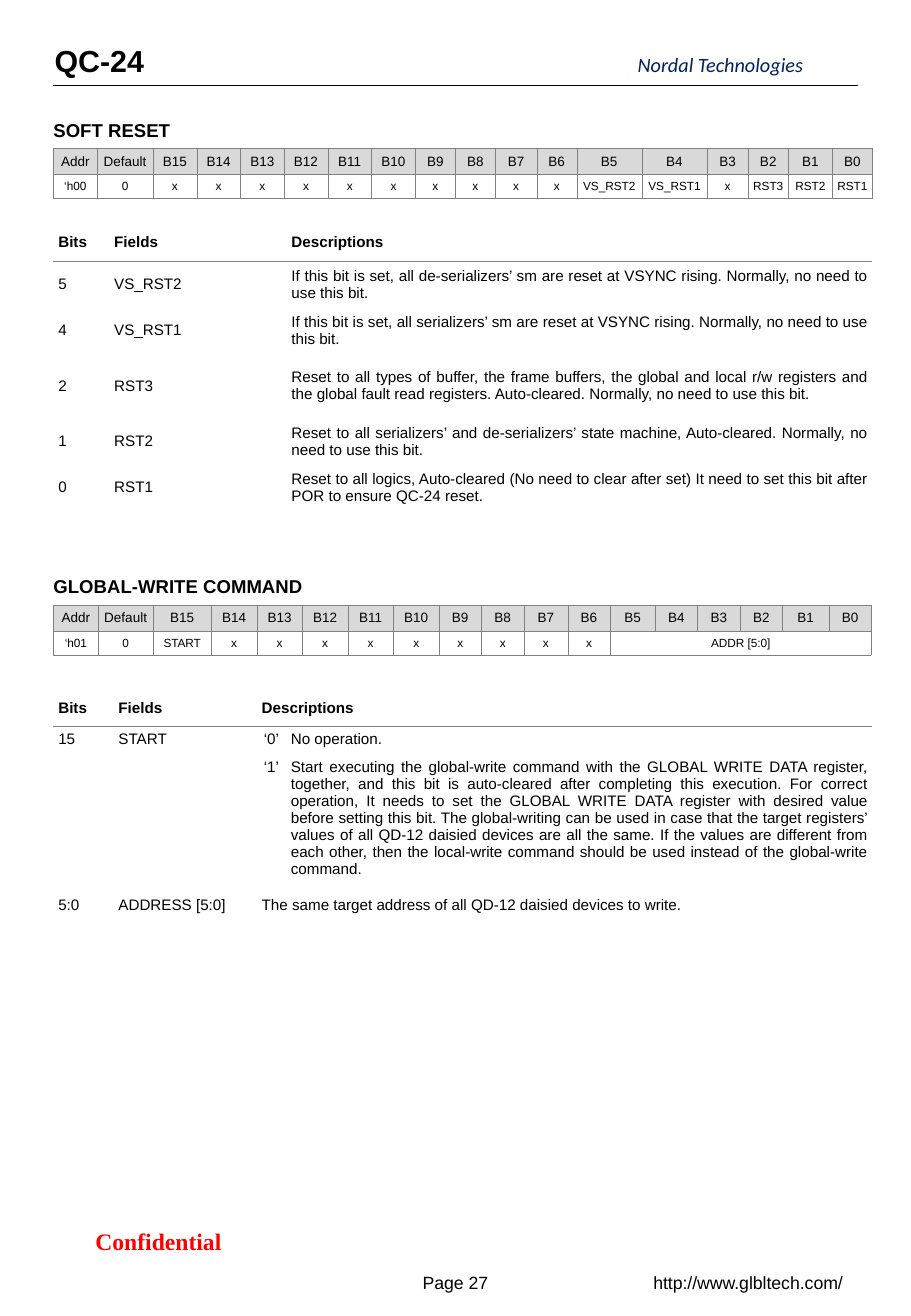
from lxml import etree
from pptx import Presentation, util as u
from pptx.dml.color import RGBColor
from pptx.enum import shapes, text
from pptx.oxml import ns

HUES = {"ink": "000000", "navy": "002060", "alert": "FF0000",
        "rule": "808080", "head": "D9D9D9"}
ALIGN = {"l": text.PP_ALIGN.LEFT, "c": text.PP_ALIGN.CENTER,
         "j": text.PP_ALIGN.JUSTIFY}
TOP, MID = text.MSO_ANCHOR.TOP, text.MSO_ANCHOR.MIDDLE
COLS, ROWS = 75, 108.3
LEFT = 4.4
PAD = 0.04


class Sheet:
    """Places elements on a slide by grid columns and rows."""

    def __init__(self, deck):
        self.slide = deck.slides.add_slide(deck.slide_layouts[6])
        self.col = deck.slide_width / COLS
        self.row = deck.slide_height / ROWS

    def x(self, n):
        return u.Emu(round(n * self.col))

    def y(self, n):
        return u.Emu(round(n * self.row))

    def box(self, x, y, w, h):
        return self.x(x), self.y(y), self.x(w), self.y(h)

    def run(self, para, words, size, bold=False, italic=False,
            hue="ink", face="Arial"):
        run = para.add_run()
        run.text = words
        font = run.font
        font.name, font.size = face, u.Pt(size)
        font.bold, font.italic = bold, italic
        font.color.rgb = RGBColor.from_string(HUES[hue])

    def label(self, at, words, size, **look):
        """Unwrapped text that starts at the left edge of its box."""
        frame = self.slide.shapes.add_textbox(*self.box(*at)).text_frame
        frame.word_wrap = False
        frame.auto_size = text.MSO_AUTO_SIZE.SHAPE_TO_FIT_TEXT
        frame.margin_left = frame.margin_right = 0
        self.run(frame.paragraphs[0], words, size, **look)

    def foot(self, at, words, size, **look):
        """Text centred both ways in its box."""
        frame = self.slide.shapes.add_textbox(*self.box(*at)).text_frame
        frame.word_wrap = True
        frame.vertical_anchor = MID
        frame.paragraphs[0].alignment = ALIGN["c"]
        self.run(frame.paragraphs[0], words, size, **look)

    def line(self, x1, x2, y):
        rule = self.slide.shapes.add_connector(
            shapes.MSO_CONNECTOR.STRAIGHT,
            self.x(x1), self.y(y), self.x(x2), self.y(y))
        rule.line.width = u.Pt(0.5)
        rule.line.color.rgb = RGBColor.from_string(HUES["ink"])
        props = rule.element.find(ns.qn("p:spPr"))
        etree.SubElement(props, ns.qn("a:effectLst"))

    def table(self, top, cols, rows):
        at = self.box(LEFT, top, sum(cols), sum(rows))
        grid = self.slide.shapes.add_table(len(rows), len(cols), *at).table
        grid.first_row = grid.horz_banding = False
        for part, n in zip(grid.columns, cols):
            part.width = self.x(n)
        for part, n in zip(grid.rows, rows):
            part.height = self.y(n)
        return grid

    def edge(self, cell, sides, width):
        """Rule the named sides of a cell and clear the others."""
        props = cell._tc.get_or_add_tcPr()
        for side in "LRTB":
            ln = etree.SubElement(props, ns.qn("a:ln" + side))
            if side in sides:
                ln.set("w", str(u.Pt(width)))
                fill = etree.SubElement(ln, ns.qn("a:solidFill"))
                etree.SubElement(fill, ns.qn("a:srgbClr"), val=HUES["rule"])
            else:
                etree.SubElement(ln, ns.qn("a:noFill"))

    def cell(self, cell, words, size, align="l", bold=False,
             anchor=MID, pad=PAD, fill=None):
        cell.margin_left = cell.margin_right = u.Inches(pad)
        cell.margin_top = cell.margin_bottom = u.Inches(pad)
        cell.vertical_anchor = anchor
        if fill:
            cell.fill.solid()
            cell.fill.fore_color.rgb = RGBColor.from_string(HUES[fill])
        else:
            cell.fill.background()
        if words:
            para = cell.text_frame.paragraphs[0]
            para.alignment = ALIGN[align]
            self.run(para, words, size, bold)

    def bits(self, top, cols, values):
        """Register map: a bit header over one row of values."""
        names = ["Addr", "Default"] + [f"B{n}" for n in range(15, -1, -1)]
        grid = self.table(top, cols, [2.14, 1.95])
        values = values + [""] * (len(names) - len(values))
        for r, (line, size, fill) in enumerate(
                [(names, 8, "head"), (values, 7, None)]):
            for c, words in enumerate(line):
                cell = grid.cell(r, c)
                self.edge(cell, "LRTB", 0.25)
                self.cell(cell, words, size, "c", fill=fill,
                          pad=0 if c == len(names) - 1 else PAD)
        return grid

    def fields(self, top, cols, rows, lines, aligns, anchor):
        """Field list: a bold header ruled off from its lines."""
        grid = self.table(top, cols, rows)
        for r, line in enumerate(lines):
            for c, words in enumerate(line):
                cell = grid.cell(r, c)
                self.edge(cell, {0: "B", 1: "T"}.get(r, ""), 0.5)
                self.cell(cell, words, 9, aligns[c] if r else "l",
                          bold=r == 0, anchor=anchor if r else MID)
        return grid


HEAD = ["Bits", "Fields", "Descriptions"]
RESET = [
    HEAD,
    ["5", "VS_RST2", "If this bit is set, all de-serializers’ sm are reset at "
     "VSYNC rising. Normally, no need to use this bit."],
    ["4", "VS_RST1", "If this bit is set, all serializers’ sm are reset at "
     "VSYNC rising. Normally, no need to use this bit."],
    ["2", "RST3", "Reset to all types of buffer, the frame buffers, the global "
     "and local r/w registers and the global fault read registers. "
     "Auto-cleared. Normally, no need to use this bit."],
    ["1", "RST2", "Reset to all serializers’ and de-serializers’ state machine, "
     "Auto-cleared. Normally, no need to use this bit."],
    ["0", "RST1", "Reset to all logics, Auto-cleared (No need to clear after "
     "set) It need to set this bit after POR to ensure QC-24 reset."],
]
WRITE = [
    HEAD + [""],
    ["15", "START", "‘0’", "No operation."],
    ["", "", "‘1’", "Start executing the global-write command with the GLOBAL "
     "WRITE DATA register, together, and this bit is auto-cleared after "
     "completing this execution. For correct operation, It needs to set the "
     "GLOBAL WRITE DATA register with desired value before setting this bit. "
     "The global-writing can be used in case that the target registers’ values "
     "of all QD-12 daisied devices are all the same. If the values are "
     "different from each other, then the local-write command should be used "
     "instead of the global-write command."],
    ["5:0", "ADDRESS [5:0]",
     "The same target address of all QD-12 daisied devices to write.", ""],
]


def main():
    deck = Presentation()
    deck.slide_width, deck.slide_height = u.Inches(7.5), u.Inches(10.83)
    page = Sheet(deck)

    page.label((4.5, 3, 7.4, 4), "QC-24", 18, bold=True)
    page.label((52.5, 3.8, 16, 3), "Nordal Technologies", 12,
               italic=True, hue="navy", face="Calibri")
    page.line(LEFT, 70.6, 7)

    page.label((LEFT, 9.3, 10.7, 2.9), "SOFT RESET", 11, bold=True)
    page.bits(12.2, [3.6, 4.6] + [3.6] * 6 + [3.3, 3.3, 3.4, 3.3, 5.35, 5.4,
                                              3.35, 3.35, 3.6, 3.3],
              ["‘h00", "0"] + ["x"] * 10
              + ["VS_RST2", "VS_RST1", "x", "RST3", "RST2", "RST1"])
    page.fields(18.3, [4.6, 14.6, 48.2], [3.2, 3.8, 3.8, 5.3, 3.8, 3.8],
                RESET, "llj", MID)

    page.label((LEFT, 46.8, 21.6, 2.9), "GLOBAL-WRITE COMMAND", 11, bold=True)
    grid = page.bits(49.8, [3.7, 4.5, 4.8] + [3.75] * 5
                     + [3.5, 3.5, 3.6, 3.5, 3.7, 3.5, 3.5, 3.5, 3.8, 3.5],
                     ["‘h01", "0", "START"] + ["x"] * 9 + ["ADDR [5:0]"])
    grid.cell(1, 12).merge(grid.cell(1, 17))
    grid = page.fields(56.8, [4.95, 11.8, 2.4, 48.25], [2.95, 2.2, 11.3, 5.3],
                       WRITE, "llcj", TOP)
    for first, last in [((0, 2), (0, 3)), ((1, 0), (2, 0)),
                        ((1, 1), (2, 1)), ((3, 2), (3, 3))]:
        grid.cell(*first).merge(grid.cell(*last))
    grid.cell(3, 2).text_frame.paragraphs[0].alignment = ALIGN["l"]

    page.foot((3.4, 100.4, 19.3, 3.4), "Confidential", 14, bold=True,
              hue="alert", face="Times New Roman")
    page.foot((32.8, 103.8, 9.4, 3.4), "Page 27", 10.5)
    page.foot((52.2, 103.8, 18.8, 3.4), "http://www.glbltech.com/", 10.5)
    deck.save("out.pptx")


if __name__ == "__main__":
    main()
